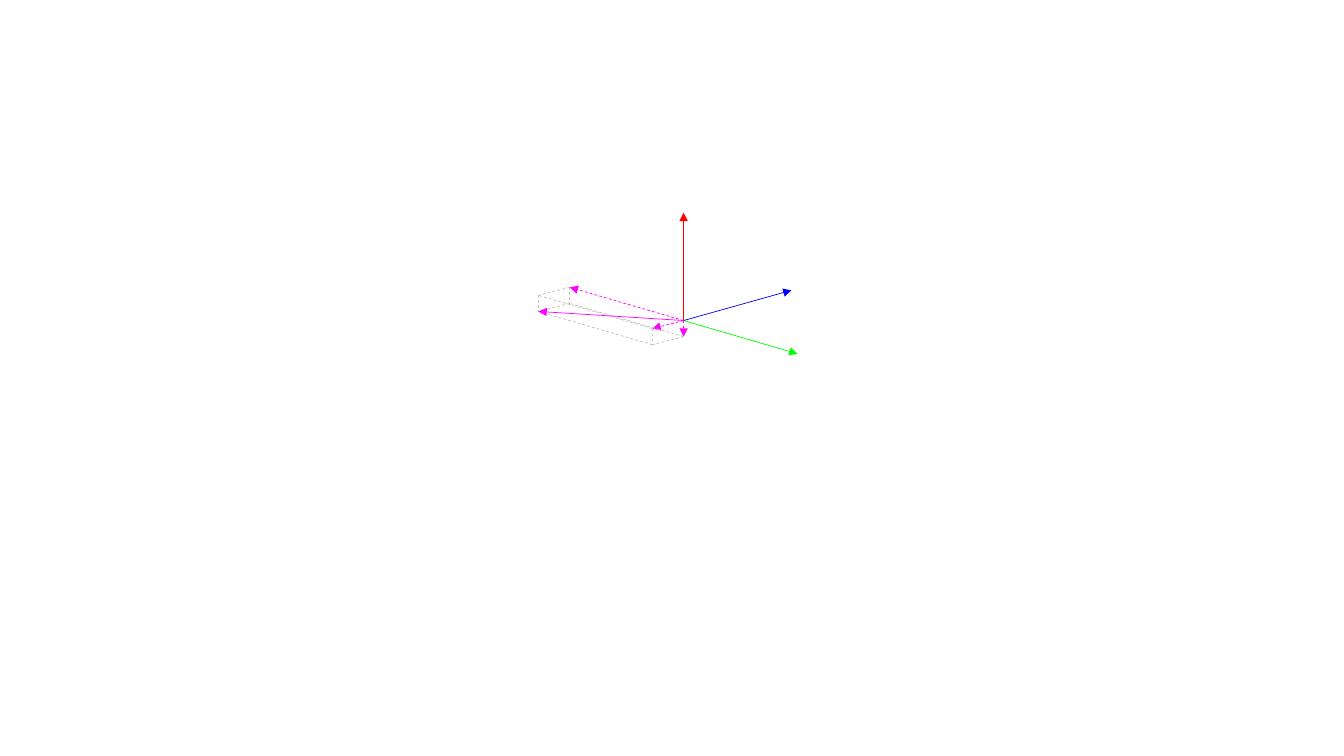
from itertools import product

from pptx import Presentation
from pptx.dml.color import RGBColor
from pptx.enum.dml import MSO_LINE
from pptx.enum.shapes import MSO_CONNECTOR
from pptx.oxml.ns import qn
from pptx.util import Inches, Pt
from lxml import etree

STRAIGHT = MSO_CONNECTOR.STRAIGHT
DASH = MSO_LINE.DASH

THEME = {
    "x_axis": "00FF00",
    "y_axis": "0000FF",
    "z_axis": "FF0000",
    "vector": "FF00FF",
    "box": "BFBFBF",
    "line": Pt(0.5),
}

deck = Presentation()
deck.slide_width = Inches(13.33)
deck.slide_height = Inches(7.5)
slide = deck.slides.add_slide(deck.slide_layouts[6])

# The grid has 1333 columns and 750 rows
COLUMN = deck.slide_width / 1333
ROW = deck.slide_height / 750

ORIGIN = (678, 318)
AXES = [((113, 33), "x_axis"), ((107, -30), "y_axis"), ((0, -107), "z_axis")]
COMPONENTS = [(-113, -33), (-31, 8), (0, 16)]

diagram = slide.shapes.add_group_shape()


def draw_line(start, end, color, dashed=False, arrow=False):
    """Draw a line between two points given in grid columns and rows."""
    line = diagram.shapes.add_connector(
        STRAIGHT,
        round(start[0] * COLUMN), round(start[1] * ROW),
        round(end[0] * COLUMN), round(end[1] * ROW))
    line.line.color.rgb = RGBColor.from_string(THEME[color])
    line.line.width = THEME["line"]
    if dashed:
        line.line.dash_style = DASH
    if arrow:
        outline = line.line._get_or_add_ln()
        etree.SubElement(outline, qn("a:tailEnd"), type="triangle")
    etree.SubElement(line._element.spPr, qn("a:effectLst"))


def corner(flags):
    """Return the box corner reached by adding the flagged components."""
    return tuple(
        ORIGIN[i] + sum(flag * part[i] for flag, part in zip(flags, COMPONENTS))
        for i in range(2))


# Coordinate axes
for (columns, rows), color in AXES:
    tip = (ORIGIN[0] + columns, ORIGIN[1] + rows)
    draw_line(ORIGIN, tip, color, arrow=True)

# Box edges: those leaving the origin are the vector's components
for flags in product((0, 1), repeat=3):
    for axis in range(3):
        if flags[axis]:
            continue
        neighbour = flags[:axis] + (1,) + flags[axis + 1:]
        is_component = not any(flags)
        draw_line(corner(flags), corner(neighbour),
                  "vector" if is_component else "box",
                  dashed=True, arrow=is_component)

# Resulting vector along the box diagonal
draw_line(ORIGIN, corner((1, 1, 1)), "vector", arrow=True)

deck.save("out.pptx")
